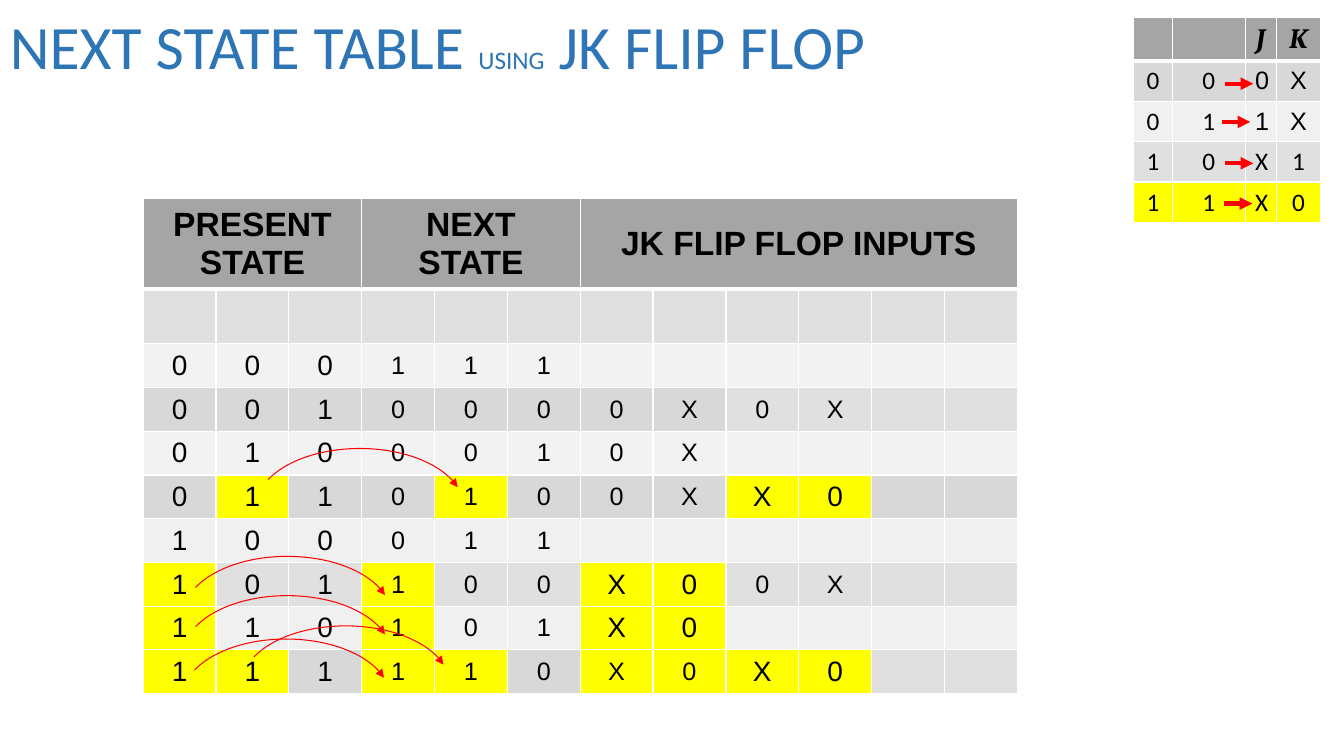
from lxml import etree
from pptx import Presentation
from pptx.dml.color import RGBColor
from pptx.enum.shapes import MSO_CONNECTOR, MSO_SHAPE
from pptx.enum.text import MSO_ANCHOR, PP_ALIGN
from pptx.oxml.ns import qn
from pptx.util import Inches, Pt

ARC, STRAIGHT = MSO_SHAPE.ARC, MSO_CONNECTOR.STRAIGHT
MIDDLE, CENTER = MSO_ANCHOR.MIDDLE, PP_ALIGN.CENTER

COLORS = {
    "title": "2E75B5", "text": "000000", "border": "FFFFFF", "arrow": "FF0000",
    "header": "A5A5A5", "mark": "FFFF00",
    "dark": "D8D8D8", "mid": "E0E0E0", "light": "F0F0F0", "pale": "F2F2F2",
}
HEADINGS = [("PRESENT STATE", 0, 2), ("NEXT STATE", 3, 5), ("JK FLIP FLOP INPUTS", 6, 11)]
# Cell values, highlighted columns, band colour, first column of the lighter band
STATES = [
    ("            ", (), "mid", 12),
    ("000111      ", (), "pale", 12),
    ("0010000X0X  ", (), "dark", 8),
    ("0100010X    ", (), "pale", 12),
    ("0110100XX0  ", (1, 4, 8, 9), "dark", 12),
    ("100011      ", (), "light", 12),
    ("101100X00X  ", (0, 3, 6, 7), "mid", 12),
    ("110101X0    ", (0, 3, 6, 7), "light", 12),
    ("111110X0X0  ", (0, 1, 3, 4, 6, 7, 8, 9), "dark", 10),
]
EXCITATION = [("000X", "dark"), ("011X", "light"), ("10X1", "mid"), ("11X0", "mark")]


def rgb(name):
    return RGBColor.from_string(COLORS[name])


def set_borders(cell, top=1, bottom=1):
    tc_pr = cell._tc.get_or_add_tcPr()
    for side, width in (("L", 1), ("R", 1), ("T", top), ("B", bottom)):
        ln = etree.SubElement(tc_pr, qn(f"a:ln{side}"), w=str(Pt(width)))
        fill = etree.SubElement(ln, qn("a:solidFill"))
        etree.SubElement(fill, qn("a:srgbClr"), val=COLORS["border"])


def style_cell(cell, row, fill, text="", size=18, font="Arial", bold=False, italic=False):
    set_borders(cell, top=3 if row == 1 else 1, bottom=3 if row == 0 else 1)
    cell.fill.solid()
    cell.fill.fore_color.rgb = rgb(fill)
    cell.vertical_anchor = MIDDLE
    cell.text = text
    p = cell.text_frame.paragraphs[0]
    p.alignment = CENTER
    p.font.size, p.font.name = Pt(size), font
    p.font.bold, p.font.italic = bold, italic
    p.font.color.rgb = rgb("text")


def add_grid(slide, x, y, widths, heights):
    """Add a table without style bands, sized by its columns and rows."""
    table = slide.shapes.add_table(len(heights), len(widths), Inches(x), Inches(y),
                                   Inches(sum(widths)), Inches(sum(heights))).table
    table.first_row = table.horz_banding = False
    for column, width in zip(table.columns, widths):
        column.width = Inches(width)
    for row, height in zip(table.rows, heights):
        row.height = Inches(height)
    return table


def add_title(slide, x, y, w, h):
    tf = slide.shapes.add_textbox(Inches(x), Inches(y), Inches(w), Inches(h)).text_frame
    tf.word_wrap = True
    tf.vertical_anchor = MIDDLE
    p = tf.paragraphs[0]
    p.line_spacing = 0.9
    p.font.name = "Calibri"
    p.font.color.rgb = rgb("title")
    for text, size in (("NEXT STATE TABLE ", 44), ("USING", 18), (" JK FLIP FLOP", 44)):
        r = p.add_run()
        r.text = text
        r.font.size = Pt(size)


def state_size(row, col, marked):
    """Present states and marked inputs are larger, save the last J and K pair."""
    last_pair = row == len(STATES) and col in (6, 7)
    return 20 if col < 3 or (col > 5 and marked and not last_pair) else 18


def add_red_arrow(sp, width):
    sp.line.color.rgb = rgb("arrow")
    sp.line.width = Pt(width)
    etree.SubElement(sp.line._get_or_add_ln(), qn("a:tailEnd"), type="triangle")


def add_state_table(slide, x, y, w):
    columns = len(STATES[0][0])
    table = add_grid(slide, x, y, [w / columns] * columns, [0.9, 0.54] + [3.45 / 8] * 8)
    for col in range(columns):
        style_cell(table.cell(0, col), 0, "header", size=24, bold=True)
    for text, first, last in HEADINGS:
        table.cell(0, first).merge(table.cell(0, last))
        table.cell(0, first).text_frame.paragraphs[0].add_run().text = text
    for row, (values, marks, band, lighter) in enumerate(STATES, 1):
        for col, value in enumerate(values):
            marked = col in marks
            fill = "mark" if marked else "mid" if col >= lighter else band
            style_cell(table.cell(row, col), row, fill, value.strip(),
                       state_size(row, col, marked))
    for dx, dy in ((0.4, 3.55), (0.4, 3.94), (0.39, 4.37), (1.12, 2.48), (0.98, 4.24)):
        sp = slide.shapes.add_shape(ARC, Inches(x + dx), Inches(y + dy),
                                    Inches(2.06), Inches(1.16))
        sp.adjustments[0], sp.adjustments[1] = 117.94, 209.15
        sp.shadow.inherit = False
        sp.fill.background()
        add_red_arrow(sp, 0.75)


def add_excitation_table(slide, x, y):
    table = add_grid(slide, x, y, [0.39, 0.72, 0.31, 0.44], [0.43] + [0.4] * 4)
    for col, text in enumerate(("", "", "J", "K")):
        style_cell(table.cell(0, col), 0, "header", text, 20, "Cambria", True, True)
    for row, (values, fill) in enumerate(EXCITATION, 1):
        for col, value in enumerate(values):
            font = "Arial" if row < 3 and col > 1 else "Calibri"
            style_cell(table.cell(row, col), row, fill, value, font=font)
    for dx, dy in ((0.91, 0.66), (0.88, 1.04), (0.91, 1.45), (0.9, 1.85)):
        line_y = Inches(y + dy)
        sp = slide.shapes.add_connector(STRAIGHT, Inches(x + dx), line_y,
                                        Inches(x + dx + 0.28), line_y)
        add_red_arrow(sp, 3)
        etree.SubElement(sp._element.spPr, qn("a:effectLst"))


def main():
    prs = Presentation()
    prs.slide_width, prs.slide_height = Inches(13.33), Inches(7.5)
    slide = prs.slides.add_slide(prs.slide_layouts[6])
    add_title(slide, 0, 0, 9.99, 0.99)
    add_state_table(slide, 1.42, 1.97, 8.67)
    add_excitation_table(slide, 11.24, 0.17)
    prs.save("out.pptx")


if __name__ == "__main__":
    main()
